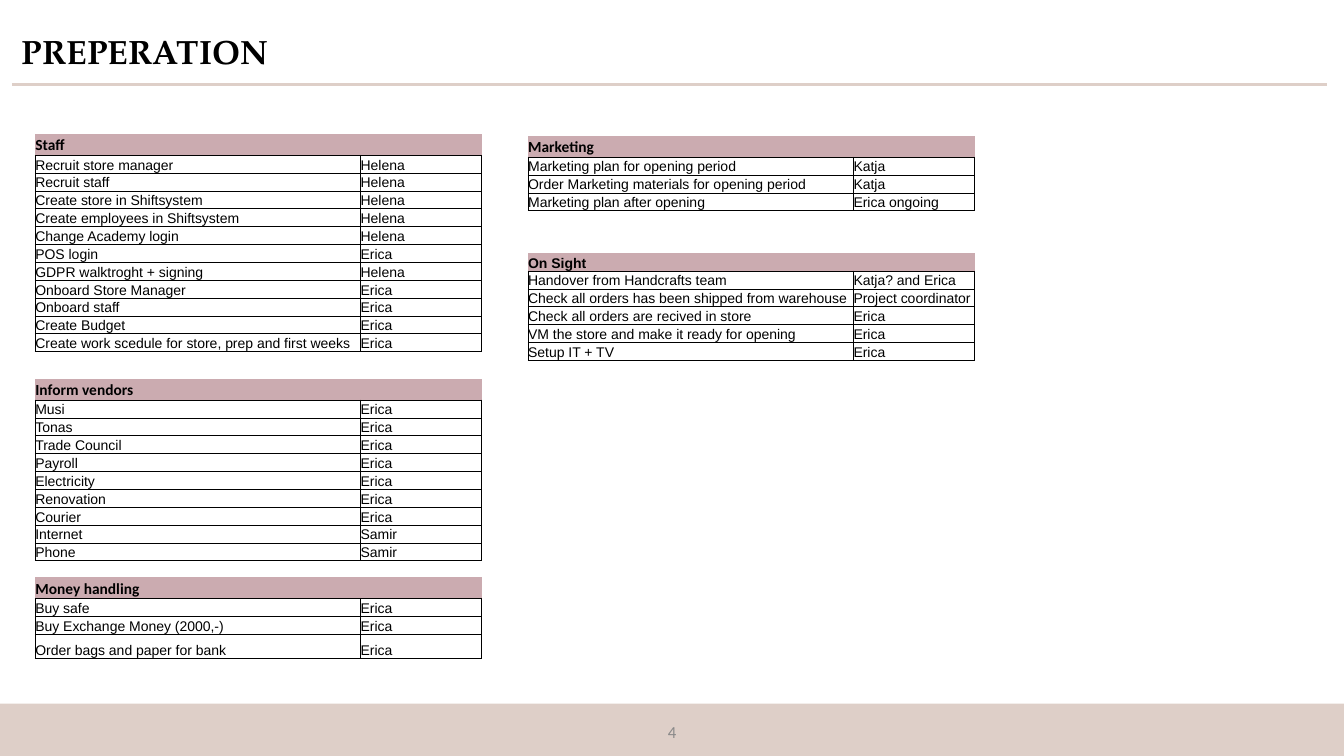
import dataclasses

import lxml.etree
import pptx
import pptx.dml.color
import pptx.enum.shapes
import pptx.enum.text
import pptx.oxml.ns
import pptx.util

Cm = pptx.util.Cm
Pt = pptx.util.Pt
qn = pptx.oxml.ns.qn


@dataclasses.dataclass(frozen=True)
class Theme:
    """Colours, fonts and type sizes of the slide."""
    ink: str = "000000"
    paper: str = "FFFFFF"
    sand: str = "DECFC8"
    rose: str = "CBABB0"
    grey: str = "898989"
    title_font: str = "TeX Gyre Pagella"
    heading_font: str = "Calibri"
    body_font: str = "Arial"
    title_size: int = 24
    number_size: int = 12
    heading_size: int = 11
    body_size: int = 10
    border: float = 0.5


THEME = Theme()
TASK_WIDTH, OWNER_WIDTH = 8.2, 3.05
HEADING_HEIGHT, ROW_HEIGHT, TALL_ROW_HEIGHT = 0.53, 0.45, 0.61
LEFT_COLUMN, RIGHT_COLUMN = 0.89, 13.31

STAFF = [
    ("Recruit store manager", "Helena"),
    ("Recruit staff", "Helena"),
    ("Create store in Shiftsystem", "Helena"),
    ("Create employees in Shiftsystem", "Helena"),
    ("Change Academy login", "Helena"),
    ("POS login", "Erica"),
    ("GDPR walktroght + signing", "Helena"),
    ("Onboard Store Manager", "Erica"),
    ("Onboard staff", "Erica"),
    ("Create Budget", "Erica"),
    ("Create work scedule for store, prep and first weeks", "Erica"),
]
VENDORS = [
    ("Musi", "Erica"),
    ("Tonas", "Erica"),
    ("Trade Council", "Erica"),
    ("Payroll", "Erica"),
    ("Electricity", "Erica"),
    ("Renovation", "Erica"),
    ("Courier", "Erica"),
    ("Internet", "Samir"),
    ("Phone", "Samir"),
]
MONEY = [
    ("Buy safe", "Erica"),
    ("Buy Exchange Money (2000,-)", "Erica"),
    ("Order bags and paper for bank", "Erica"),
]
MARKETING = [
    ("Marketing plan for opening period", "Katja"),
    ("Order Marketing materials for opening period", "Katja"),
    ("Marketing plan after opening", "Erica ongoing"),
]
ON_SIGHT = [
    ("Handover from Handcrafts team", "Katja? and Erica"),
    ("Check all orders has been shipped from warehouse", "Project coordinator"),
    ("Check all orders are recived in store", "Erica"),
    ("VM the store and make it ready for opening", "Erica"),
    ("Setup IT + TV", "Erica"),
]


def rgb(value):
    """Turn a hex string into a colour."""
    return pptx.dml.color.RGBColor.from_string(value)


def add_run(paragraph, text, font, size, color=THEME.ink, bold=False):
    """Add one formatted run to a paragraph."""
    run = paragraph.add_run()
    run.text = text
    run.font.name = font
    run.font.size = Pt(size)
    run.font.bold = bold
    run.font.color.rgb = rgb(color)


def add_label(slide, left, top, width, height, align, text, **style):
    """Add a single-line text box, centred vertically."""
    frame = slide.shapes.add_textbox(Cm(left), Cm(top), Cm(width), Cm(height)).text_frame
    frame.word_wrap = True
    frame.vertical_anchor = pptx.enum.text.MSO_ANCHOR.MIDDLE
    frame.paragraphs[0].alignment = align
    add_run(frame.paragraphs[0], text, **style)


def add_band(slide, top, height, width):
    """Add the coloured footer band."""
    band = slide.shapes.add_shape(
        pptx.enum.shapes.MSO_SHAPE.RECTANGLE, 0, Cm(top), width, Cm(height))
    band.shadow.inherit = False
    band.fill.solid()
    band.fill.fore_color.rgb = rgb(THEME.sand)
    band.line.fill.background()


def add_rule(slide, left, right, y):
    """Add the horizontal rule below the title."""
    rule = slide.shapes.add_connector(
        pptx.enum.shapes.MSO_CONNECTOR.STRAIGHT, Cm(left), Cm(y), Cm(right), Cm(y))
    rule.line.color.rgb = rgb(THEME.sand)
    rule.line.width = Pt(2.5)
    lxml.etree.SubElement(rule._element.spPr, qn("a:effectLst"))


def set_borders(cell, drawn):
    """Draw the named sides of a cell and clear the others."""
    properties = cell._tc.get_or_add_tcPr()
    for side in "LRTB":
        edge = lxml.etree.SubElement(properties, qn("a:ln" + side))
        edge.set("w", str(Pt(THEME.border)))
        if side in drawn:
            fill = lxml.etree.SubElement(edge, qn("a:solidFill"))
            lxml.etree.SubElement(fill, qn("a:srgbClr")).set("val", THEME.ink)
        else:
            lxml.etree.SubElement(edge, qn("a:noFill"))


def fill_cell(cell, text, color, borders, **style):
    """Format one cell and write its text."""
    cell.margin_left = cell.margin_right = cell.margin_top = cell.margin_bottom = 0
    cell.vertical_anchor = pptx.enum.text.MSO_ANCHOR.BOTTOM
    set_borders(cell, borders)
    cell.fill.solid()
    cell.fill.fore_color.rgb = rgb(color)
    paragraph = cell.text_frame.paragraphs[0]
    if text:
        add_run(paragraph, text, **style)
    else:
        end = lxml.etree.SubElement(paragraph._p, qn("a:endParaRPr"))
        end.set("sz", str(style["size"] * 100))


def add_checklist(slide, left, top, heading, tasks, heading_height=HEADING_HEIGHT,
                  last_height=ROW_HEIGHT, heading_font=THEME.heading_font,
                  heading_size=THEME.heading_size):
    """Add a table of tasks and owners under a coloured heading."""
    heights = [heading_height] + [ROW_HEIGHT] * (len(tasks) - 1) + [last_height]
    checklist = slide.shapes.add_table(
        len(heights), 2, Cm(left), Cm(top),
        Cm(TASK_WIDTH + OWNER_WIDTH), Cm(sum(heights))).table
    checklist.first_row = checklist.horz_banding = False
    for column, width in zip(checklist.columns, (TASK_WIDTH, OWNER_WIDTH)):
        column.width = Cm(width)
    for row, height in zip(checklist.rows, heights):
        row.height = Cm(height)
    for column, text in enumerate((heading, "")):
        fill_cell(checklist.cell(0, column), text, THEME.rose, "B",
                  font=heading_font, size=heading_size, bold=True)
    for row, entry in enumerate(tasks, start=1):
        for column, text in enumerate(entry):
            fill_cell(checklist.cell(row, column), text, THEME.paper, "LRTB",
                      font=THEME.body_font, size=THEME.body_size)


def main():
    """Build the preparation slide and save it."""
    deck = pptx.Presentation()
    deck.slide_width, deck.slide_height = Cm(33.87), Cm(19.05)
    slide = deck.slides.add_slide(deck.slide_layouts[6])
    align = pptx.enum.text.PP_ALIGN

    add_band(slide, 17.73, 1.4, deck.slide_width)
    add_label(slide, 5.84, 17.73, 22.2, 1.4, align.CENTER, "4",
              font=THEME.heading_font, size=THEME.number_size, color=THEME.grey)
    add_rule(slide, 0.3, 33.45, 2.13)
    add_label(slide, 0.3, 0.64, 33.15, 1.27, align.LEFT, "PREPERATION",
              font=THEME.title_font, size=THEME.title_size, bold=True)

    add_checklist(slide, LEFT_COLUMN, 3.38, "Staff", STAFF)
    add_checklist(slide, LEFT_COLUMN, 9.55, "Inform vendors", VENDORS)
    add_checklist(slide, LEFT_COLUMN, 14.55, "Money handling", MONEY,
                  last_height=TALL_ROW_HEIGHT)
    add_checklist(slide, RIGHT_COLUMN, 3.43, "Marketing", MARKETING)
    add_checklist(slide, RIGHT_COLUMN, 6.38, "On Sight", ON_SIGHT,
                  heading_height=ROW_HEIGHT, heading_font=THEME.body_font,
                  heading_size=THEME.body_size)
    deck.save("out.pptx")


main()
